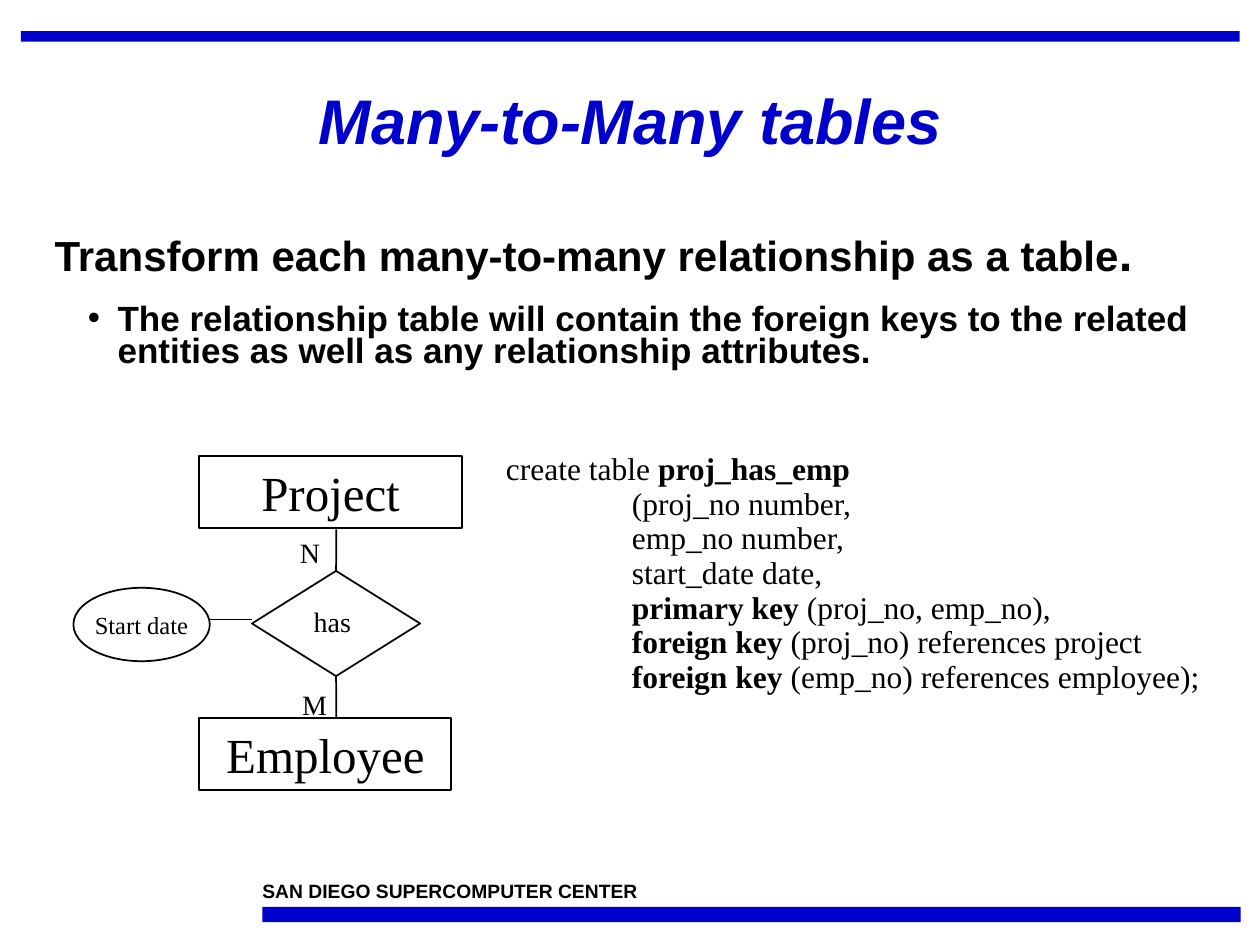
"""Build the slide on turning many-to-many relationships into tables."""
from lxml import etree
from pptx import Presentation, util as u
from pptx.dml.color import RGBColor
from pptx.enum import shapes, text
from pptx.oxml.ns import qn

COLORS = {"blue": "0000CC", "black": "000000"}
SHAPE = shapes.MSO_SHAPE
ALIGN = text.PP_ALIGN
SERIF = {"name": "Times New Roman"}
SANS = {"name": "Arial", "bold": True}


def rgb(name):
    """Return a palette colour."""
    return RGBColor.from_string(COLORS[name])


def place(sp, box):
    """Set left, top, width and height in centimetres."""
    for name, value in zip(("left", "top", "width", "height"), box):
        setattr(sp, name, u.Cm(value))


def setup_frame(tf, anchor=text.MSO_ANCHOR.TOP, wrap=True, margins=(0.25, 0.13)):
    """Fix wrapping, anchor and margins of a text frame."""
    x, y = map(u.Cm, margins)
    values = {"margin_left": x, "margin_right": x, "margin_top": y, "margin_bottom": y,
              "auto_size": text.MSO_AUTO_SIZE.NONE, "word_wrap": wrap,
              "vertical_anchor": anchor}
    for name, value in values.items():
        setattr(tf, name, value)


def write(p, runs, size, font, color="black", **layout):
    """Fill a paragraph with (text, font overrides) runs."""
    for name, value in layout.items():
        setattr(p, name, value)
    for words, extra in runs:
        r = p.add_run()
        r.text = words
        for name, value in {"size": u.Pt(size), **font, **extra}.items():
            setattr(r.font, name, value)
        r.font.color.rgb = rgb(color)


def set_bullet(p, left=0, indent=0, char=None):
    """Set a paragraph's indents and its bullet, if any."""
    pPr = p._p.get_or_add_pPr()
    pPr.set("marL", str(u.Cm(left)))
    pPr.set("indent", str(u.Cm(indent)))
    if char:
        etree.SubElement(pPr, qn("a:buChar")).set("char", char)
    else:
        etree.SubElement(pPr, qn("a:buNone"))


def set_tab(p, position):
    """Add one left tab stop."""
    tabs = etree.SubElement(p._p.get_or_add_pPr(), qn("a:tabLst"))
    tab = etree.SubElement(tabs, qn("a:tab"))
    tab.set("pos", str(u.Cm(position)))
    tab.set("algn", "l")


def add_bar(s, box):
    """Add a solid blue bar."""
    sp = s.shapes.add_shape(SHAPE.RECTANGLE, *map(u.Cm, box))
    sp.shadow.inherit = False
    sp.fill.solid()
    sp.fill.fore_color.rgb = rgb("blue")
    sp.line.fill.background()


def add_node(s, kind, box, label="", size=28, **frame):
    """Add an outlined diagram node with a centred label."""
    sp = s.shapes.add_shape(kind, *map(u.Cm, box))
    sp.shadow.inherit = False
    sp.fill.background()
    sp.line.color.rgb = rgb("black")
    sp.line.width = u.Pt(1)
    if label:
        setup_frame(sp.text_frame, **frame)
        write(sp.text_frame.paragraphs[0], [(label, {})], size, SERIF, alignment=ALIGN.CENTER)
    return sp


def add_text(s, box, words, size, font, align=ALIGN.CENTER, **frame):
    """Add a one-paragraph text box."""
    tf = s.shapes.add_textbox(*map(u.Cm, box)).text_frame
    setup_frame(tf, **frame)
    write(tf.paragraphs[0], [(words, {})], size, font, alignment=align)


def add_line(s, start, end, node=None, site=0):
    """Add a thin line, optionally joined to a node at its start."""
    c = s.shapes.add_connector(shapes.MSO_CONNECTOR.STRAIGHT, *map(u.Cm, start + end))
    c.line.color.rgb = rgb("black")
    c.line.width = u.Pt(1)
    etree.SubElement(c._element.spPr, qn("a:effectLst"))
    if node is not None:
        c.begin_connect(node, site)


def add_title(s):
    """Fill the title placeholder."""
    sp = s.shapes.title
    place(sp, (0.42, 1.06, 24.57, 2.9))
    setup_frame(sp.text_frame, text.MSO_ANCHOR.MIDDLE)
    write(sp.text_frame.paragraphs[0], [("Many-to-Many tables", {})], 36,
          {**SANS, "italic": True}, "blue", alignment=ALIGN.CENTER, line_spacing=0.9)


def add_body(s):
    """Fill the body placeholder with the rule and its bullet."""
    sp = s.placeholders[1]
    place(sp, (0.85, 4.45, 23.92, 3.15))
    tf = sp.text_frame
    setup_frame(tf)
    rule, detail = tf.paragraphs[0], tf.add_paragraph()
    set_bullet(rule)
    write(rule, [("Transform each many-to-many relationship as a table", {}),
                 (".", {"size": u.Pt(28)})], 24, SANS,
          line_spacing=0.95, space_before=u.Pt(0))
    set_bullet(detail, 1.27, -0.6, "•")
    write(detail, [("The relationship table will contain the foreign keys to the related "
                    "entities as well as any relationship attributes.", {})], 20, SANS,
          level=1, line_spacing=0.75, space_before=u.Pt(13.5))


def add_code(s):
    """Add the table definition, with its keywords in bold."""
    bold = {"bold": True}
    lines = [
        [("create table ", {}), ("proj_has_emp", bold)],
        [("\t(proj_no number,", {})],
        [("\temp_no number,", {})],
        [("\tstart_date date,", {})],
        [("\t", {}), ("primary key", bold), (" (proj_no, emp_no),", {})],
        [("\t", {}), ("foreign key", bold), (" (proj_no) references project", {})],
        [("\t", {}), ("foreign key", bold), (" (emp_no) references employee);", {})],
    ]
    tf = s.shapes.add_textbox(*map(u.Cm, (9.95, 9.31, 14.82, 4.78))).text_frame
    setup_frame(tf)
    for i, runs in enumerate(lines):
        p = tf.add_paragraph() if i else tf.paragraphs[0]
        set_tab(p, 2.54)
        write(p, runs, 18, SERIF, line_spacing=0.4, space_before=u.Pt(11.2 if i else 0))


def add_diagram(s):
    """Draw the entities, their relationship and its attribute."""
    has = add_node(s, SHAPE.DIAMOND, (5.08, 11.51, 3.39, 2.12))
    add_node(s, SHAPE.RECTANGLE, (4.02, 14.48, 5.08, 1.45), "Employee")
    add_node(s, SHAPE.RECTANGLE, (4.02, 9.19, 5.29, 1.45), "Project")
    add_node(s, SHAPE.OVAL, (1.48, 11.85, 2.75, 1.48), "Start date", 14,
             anchor=text.MSO_ANCHOR.MIDDLE, wrap=False)
    for label, box in (("has ", (5.29, 12.06, 2.96, 0.94)),
                       ("N", (5.72, 10.67, 1.06, 0.94)),
                       ("M", (5.84, 13.74, 1, 0.94))):
        add_text(s, box, label, 16, SERIF)
    add_line(s, (6.78, 11.51), (6.78, 10.67), has, 0)
    add_line(s, (6.78, 13.63), (6.78, 14.48), has, 2)
    add_line(s, (5.08, 12.49), (4.23, 12.49))


def main():
    """Build and save the slide."""
    prs = Presentation()
    prs.slide_width, prs.slide_height = u.Cm(25.4), u.Cm(19.05)
    s = prs.slides.add_slide(prs.slide_layouts[1])
    add_bar(s, (0.42, 0.63, 24.57, 0.21))
    add_bar(s, (5.29, 18.28, 19.72, 0.31))
    add_text(s, (5.29, 17.73, 9.53, 0.46), "SAN DIEGO SUPERCOMPUTER CENTER", 11, SANS,
             ALIGN.LEFT, margins=(0, 0))
    add_title(s)
    add_body(s)
    add_code(s)
    add_diagram(s)
    prs.save("out.pptx")


if __name__ == "__main__":
    main()
